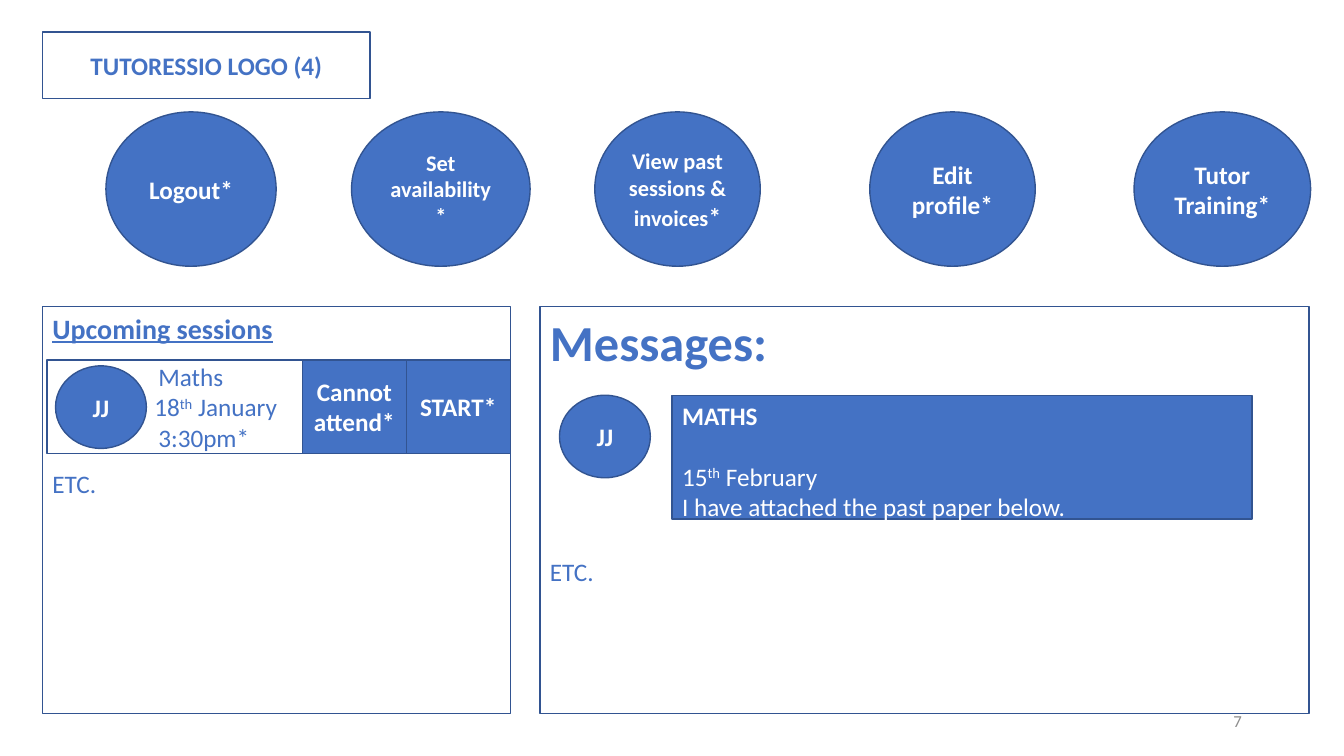
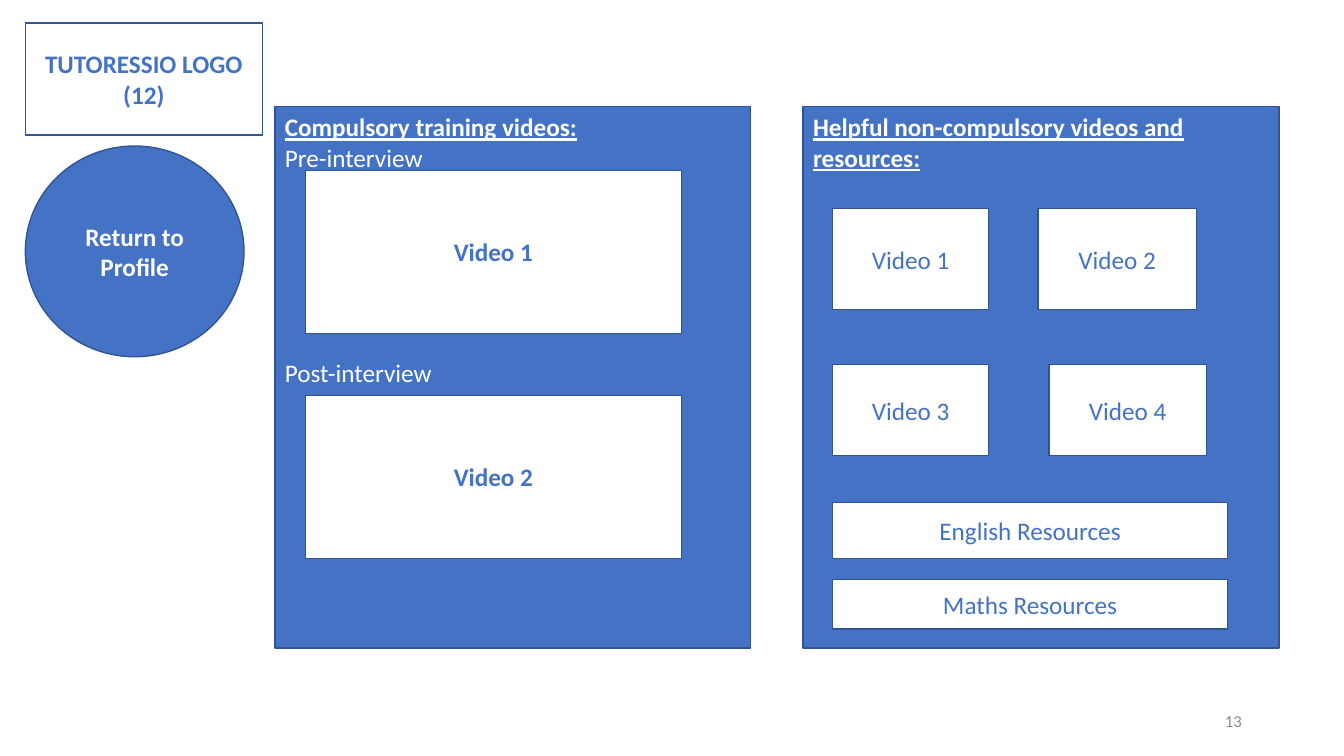
"""Build two wireframe slides for a tutoring site: tutor home and training."""
from pptx import Presentation
from pptx.dml.color import RGBColor as Rgb
from pptx.enum.shapes import MSO_SHAPE as Kind
from pptx.enum.text import MSO_ANCHOR as Anchor, MSO_AUTO_SIZE as Fit, PP_ALIGN as Align
from pptx.util import Cm, Pt

HUES = {"blue": "4472C4", "edge": "325491", "white": "FFFFFF", "grey": "8C8C8C"}
FONT = "Calibri"
LINE = 22


def write(shape, paras, hue, align, anchor):
    """Fill a shape with paragraphs, each a gap in points and its runs."""
    frame = shape.text_frame
    frame.word_wrap = True
    frame.auto_size = Fit.NONE
    frame.vertical_anchor = anchor
    for i, (gap, runs) in enumerate(paras):
        para = frame.add_paragraph() if i else frame.paragraphs[0]
        para.alignment = align
        para.space_before = Pt(gap)
        for text, size, style in runs:
            run = para.add_run()
            run.text = text
            font = run.font
            font.name = FONT
            font.size = Pt(size)
            font.bold = "b" in style
            font.underline = "u" in style
            font.color.rgb = Rgb.from_string(HUES[hue])
            if "s" in style:
                run._r.get_or_add_rPr().set("baseline", "30000")


def box(slide, kind, place, paras, dark=True, align=Align.CENTER, anchor=Anchor.MIDDLE):
    """Draw an outlined shape, or dress the title when kind is None."""
    left, top, width, height = [Cm(n) for n in place]
    if kind is None:
        shape = slide.shapes.title
        shape.left, shape.top, shape.width, shape.height = left, top, width, height
    else:
        shape = slide.shapes.add_shape(kind, left, top, width, height)
        shape.shadow.inherit = False
    shape.fill.solid()
    shape.fill.fore_color.rgb = Rgb.from_string(HUES["blue" if dark else "white"])
    shape.line.color.rgb = Rgb.from_string(HUES["edge"])
    shape.line.width = Pt(1)
    write(shape, paras, "white" if dark else "blue", align, anchor)
    return shape


deck = Presentation()
deck.slide_width, deck.slide_height = Cm(33.87), Cm(19.05)
home, train = [deck.slides.add_slide(deck.slide_layouts[5]) for _ in range(2)]

for slide, place, count, page in [
    (home, (1.07, 0.81, 8.26, 1.68), 4, 7),
    (train, (0.64, 0.58, 5.97, 2.82), 12, 13),
]:
    box(slide, None, place, [(0, [(f"TUTORESSIO LOGO ({count})", 18, "b")])], dark=False)
    foot = slide.shapes.add_textbox(Cm(23.93), Cm(17.65), Cm(7.62), Cm(1.02))
    write(foot, [(0, [(str(page), 12, "")])], "grey", Align.RIGHT, Anchor.MIDDLE)

for left, width, runs in [
    (2.67, 4.29, [("Logout*", 18, "b")]),
    (8.86, 4.5, [("Set availability*", 16, "b")]),
    (14.99, 4.17, [("View past sessions & invoices", 16, "b"), ("*", 18, "b")]),
    (21.92, 4.17, [("Edit profile*", 18, "b")]),
    (28.58, 4.45, [("Tutor Training*", 18, "b")]),
]:
    box(home, Kind.OVAL, (left, 2.82, width, 3.89), [(0, runs)])

for left, width, head, size, style, gap in [
    (1.07, 11.79, "Upcoming sessions", 20, "bu", 4 * LINE),
    (13.61, 19.38, "Messages:", 36, "b", 6 * LINE),
]:
    box(home, Kind.RECTANGLE, (left, 7.72, width, 10.26),
        [(0, [(head, size, style)]), (gap, [("ETC.", 18, "")])],
        dark=False, align=Align.LEFT, anchor=Anchor.TOP)

lesson = box(home, Kind.RECTANGLE, (1.19, 9.07, 6.43, 2.36), [
    (0, [("Maths", 18, "")]),
    (0, [("18", 18, ""), ("th", 18, "s"), (" January", 18, "")]),
    (0, [("3:30pm*", 18, "")]),
], dark=False, align=Align.LEFT)
lesson.text_frame.margin_left = Cm(2.7)
for row in (0, 2):
    lesson.text_frame.paragraphs[row]._p.get_or_add_pPr().set("marL", str(Cm(0.1)))

for i, label in enumerate(["Cannot attend*", "START*"]):
    box(home, Kind.RECTANGLE, (7.62 + i * 2.62, 9.07, 2.62, 2.36), [(0, [(label, 18, "b")])])

for left, top in [(1.4, 9.22), (14.1, 9.96)]:
    box(home, Kind.OVAL, (left, top, 2.29, 2.08), [(0, [("JJ", 18, "b")])])

box(home, Kind.RECTANGLE, (16.94, 9.96, 14.61, 3.12), [
    (0, [("MATHS", 18, "b")]),
    (LINE, [("15", 18, ""), ("th", 18, "s"), (" February", 18, "")]),
    (0, [("I have attached the past paper below.", 18, "")]),
], align=Align.LEFT, anchor=Anchor.TOP)

box(train, Kind.OVAL, (0.64, 3.68, 5.51, 5.31), [(0, [("Return to Profile", 18, "b")])])

for left, paras in [
    (6.93, [
        (0, [("Compulsory training videos:", 18, "bu")]),
        (0, [("Pre-interview", 18, "")]),
        (6 * LINE, [("Post-interview", 18, "")]),
    ]),
    (20.24, [(0, [("Helpful non-compulsory videos and resources:", 18, "bu")])]),
]:
    box(train, Kind.RECTANGLE, (left, 2.69, 11.99, 13.64), paras,
        align=Align.LEFT, anchor=Anchor.TOP)

for label, style, place in [
    ("Video 1", "b", (7.7, 4.29, 9.47, 4.11)),
    ("Video 2", "b", (7.7, 9.96, 9.47, 4.11)),
    ("Video 1", "", (20.98, 5.26, 3.94, 2.54)),
    ("Video 2", "", (26.16, 5.26, 3.99, 2.54)),
    ("Video 3", "", (20.98, 9.19, 3.94, 2.29)),
    ("Video 4", "", (26.44, 9.19, 3.96, 2.29)),
    ("English Resources", "", (20.98, 12.67, 9.96, 1.4)),
    ("Maths Resources", "", (20.98, 14.61, 9.96, 1.24)),
]:
    box(train, Kind.RECTANGLE, place, [(0, [(label, 18, style)])], dark=False)

deck.save("out.pptx")
